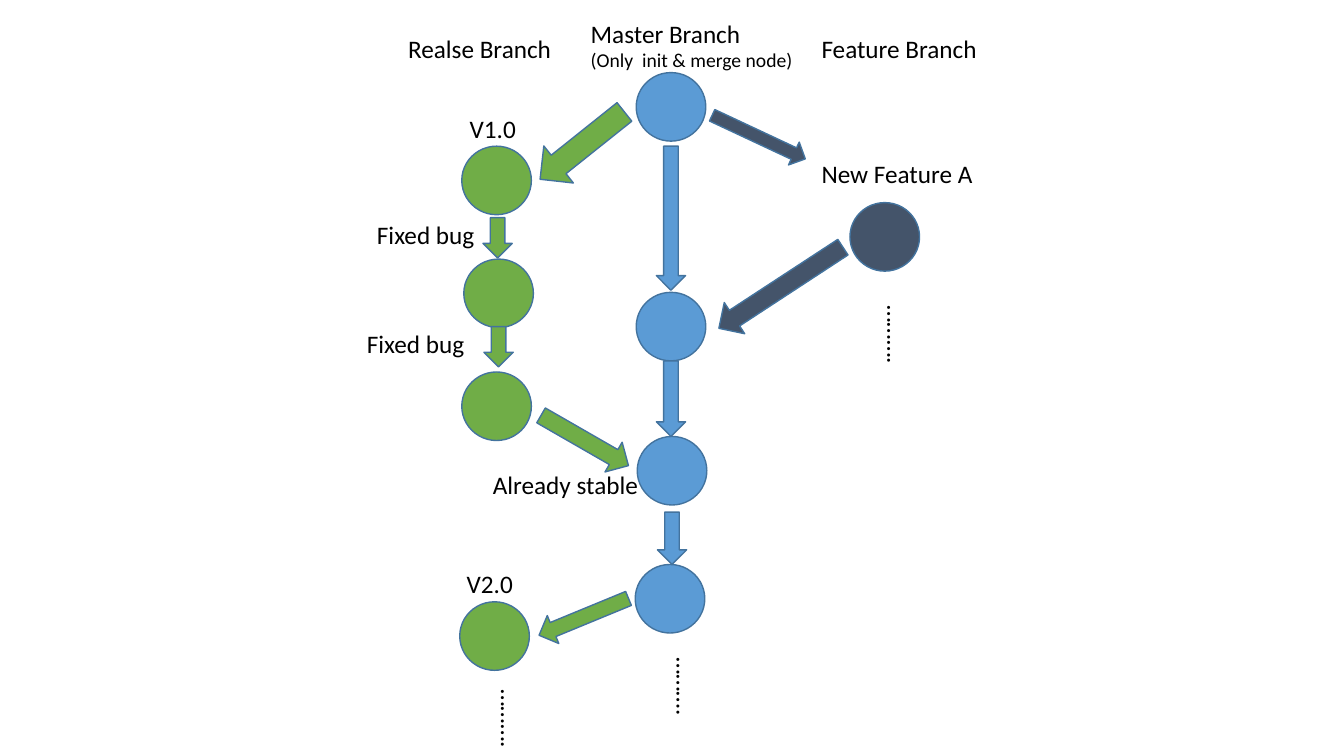
from pptx import Presentation
from pptx.dml.color import RGBColor
from pptx.enum.shapes import MSO_SHAPE as Preset
from pptx.enum.text import MSO_AUTO_SIZE as AutoSize
from pptx.util import Inches, Pt

MASTER_BLUE = RGBColor(0x5B, 0x9B, 0xD5)
RELEASE_GREEN = RGBColor(0x70, 0xAD, 0x47)
FEATURE_NAVY = RGBColor(0x44, 0x54, 0x6A)
OUTLINE = RGBColor(0x43, 0x73, 0x9E)
BLACK = RGBColor(0, 0, 0)

NODE_SIZE = (0.69, 0.68)
LINE_HEIGHT = 0.4
DOTS = "………."

NODES = [
    (MASTER_BLUE, [(6.31, 0.72), (6.31, 2.9), (6.32, 4.33), (6.3, 5.6)]),
    (RELEASE_GREEN, [(4.58, 1.45), (4.6, 2.57), (4.58, 3.69), (4.56, 5.97)]),
    (FEATURE_NAVY, [(8.43, 2.01)]),
]
ARROWS = [
    (MASTER_BLUE, [
        (6.51, 1.45, 0.29, 1.43, 0),
        (6.51, 3.58, 0.29, 0.75, 0),
        (6.52, 5.08, 0.29, 0.52, 0),
    ]),
    (RELEASE_GREEN, [
        (5.54, 0.91, 0.47, 1.07, 51.4),
        (4.79, 2.16, 0.29, 0.4, 0),
        (4.8, 3.24, 0.29, 0.4, 0),
        (5.63, 3.87, 0.34, 1, 299.9),
        (5.64, 5.64, 0.3, 0.96, 67.6),
    ]),
    (FEATURE_NAVY, [
        (7.4, 0.85, 0.25, 1.02, 295.1),
        (7.56, 2.12, 0.37, 1.47, 56.8),
    ]),
]
LABELS = [
    ("Realse Branch", 3.95, 0.28, 1.64),
    ("Feature Branch", 8.05, 0.28, 1.76),
    ("New Feature A", 8.05, 1.52, 1.72),
    ("V1.0", 4.56, 1.08, 0.66),
    ("Fixed bug", 3.64, 2.13, 1.18),
    ("Fixed bug", 3.54, 3.21, 1.18),
    ("Already stable", 4.79, 4.61, 1.66),
    ("V2.0", 4.53, 5.59, 0.66),
]
CONTINUATIONS = [(8.6, 2.93), (6.51, 6.42), (4.77, 6.74)]


def add_outlined(slide, preset, color, left, top, width, height, rotation=0):
    """Add a filled preset shape with the common outline."""
    figure = slide.shapes.add_shape(
        preset, Inches(left), Inches(top), Inches(width), Inches(height))
    figure.shadow.inherit = False
    figure.fill.solid()
    figure.fill.fore_color.rgb = color
    figure.line.color.rgb = OUTLINE
    figure.line.width = Pt(1)
    figure.rotation = rotation


def add_label(slide, text, left, top, width, height=LINE_HEIGHT, *,
              sizes=(18,), vertical=False):
    """Add unwrapped text, one paragraph per line and size."""
    label = slide.shapes.add_textbox(
        Inches(left), Inches(top), Inches(width), Inches(height))
    frame = label.text_frame
    frame.word_wrap = False
    frame.auto_size = AutoSize.SHAPE_TO_FIT_TEXT
    if vertical:
        frame._txBody.bodyPr.set("vert", "eaVert")
    frame.text = text
    for paragraph, size in zip(frame.paragraphs, sizes):
        font = paragraph.runs[0].font
        font.name = "Calibri"
        font.size = Pt(size)
        font.color.rgb = BLACK


def main():
    """Build the branching model slide."""
    deck = Presentation()
    deck.slide_width, deck.slide_height = Inches(13.33), Inches(7.5)
    slide = deck.slides.add_slide(deck.slide_layouts[6])

    for color, positions in NODES:
        for left, top in positions:
            add_outlined(slide, Preset.OVAL, color, left, top, *NODE_SIZE)
    for color, placements in ARROWS:
        for placement in placements:
            add_outlined(slide, Preset.DOWN_ARROW, color, *placement)

    add_label(slide, "Master Branch\n(Only  init & merge node)",
              5.76, 0.13, 2.22, 0.64, sizes=(18, 14))
    for label in LABELS:
        add_label(slide, *label)
    for left, top in CONTINUATIONS:
        add_label(slide, DOTS, left, top, 0.5, 0.68, vertical=True)

    deck.save("out.pptx")


if __name__ == "__main__":
    main()
